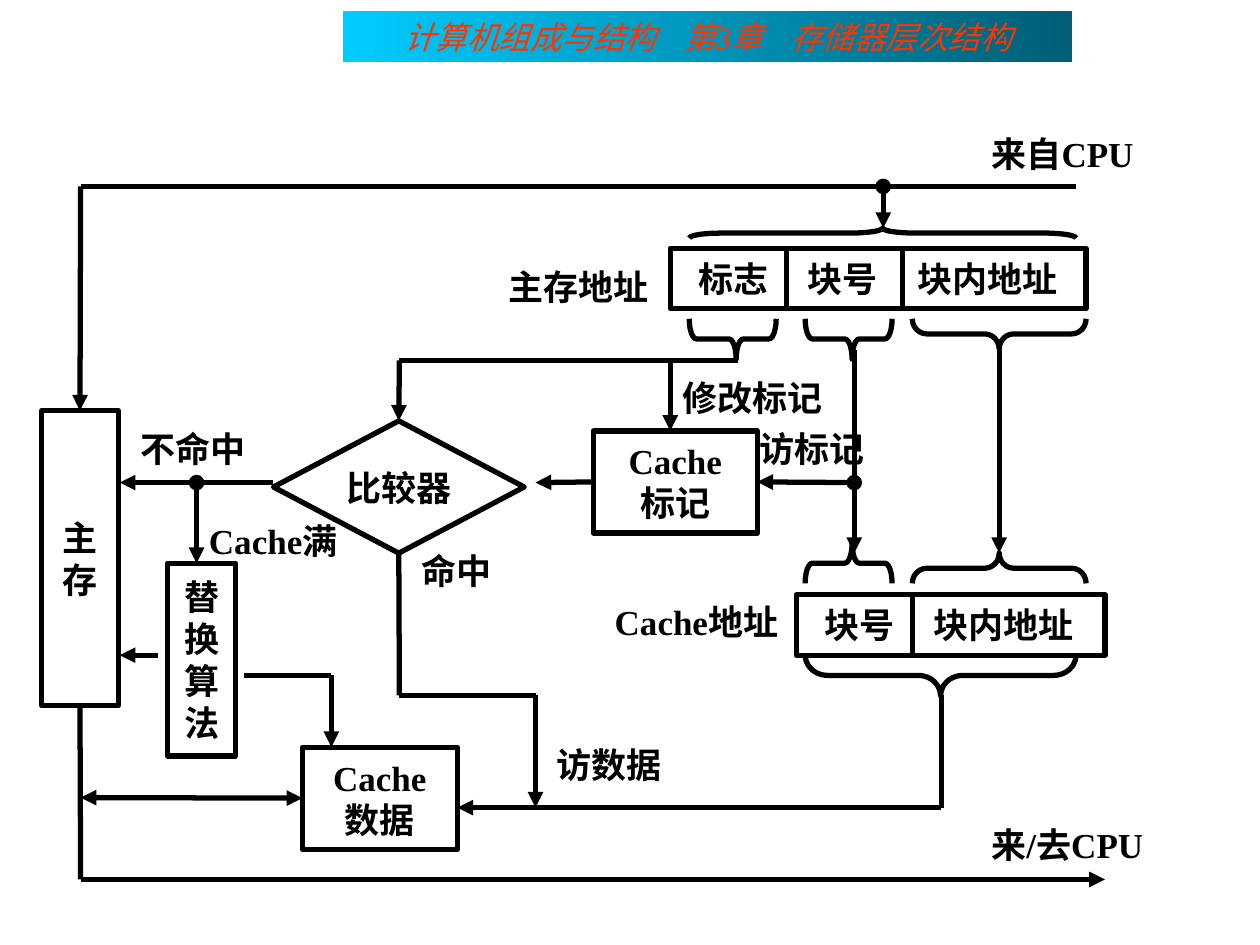
from lxml.etree import SubElement
from pptx import Presentation
from pptx.dml.color import RGBColor
from pptx.enum.shapes import MSO_CONNECTOR, MSO_SHAPE as SHAPE
from pptx.enum.text import MSO_ANCHOR as ANCHOR, PP_ALIGN as ALIGN
from pptx.oxml.ns import qn
from pptx.util import Inches, Pt

COLORS = {"ink": "000000", "title": "FF3300", "cyan": "00CCFF", "teal": "005E75"}
LABEL = {"name": "Times New Roman", "size": Pt(20), "bold": True}
TITLE = {"name": "Times New Roman", "size": Pt(18), "bold": False, "italic": True}
TOP, LEFT, BOTTOM, RIGHT = range(4)


def write(sp, text, align, fmt=LABEL, color="ink", tabs=()):
    """Fill a shape with text, one paragraph a line, with tab stops in inches."""
    tf = sp.text_frame
    tf.text = text
    for p in tf.paragraphs:
        p.alignment = align
        if tabs:
            stops = SubElement(p._p.get_or_add_pPr(), qn("a:tabLst"))
            for pos in tabs:
                SubElement(stops, qn("a:tab"), pos=str(Inches(pos)), algn="l")
        for r in p.runs:
            for key, value in fmt.items():
                setattr(r.font, key, value)
            r.font.color.rgb = RGBColor.from_string(COLORS[color])
    return tf


def outline(sp):
    sp.line.color.rgb = RGBColor.from_string(COLORS["ink"])
    sp.line.width = Pt(3)


prs = Presentation()
prs.slide_width, prs.slide_height = Inches(10), Inches(7.5)
s = prs.slides.add_slide(prs.slide_layouts[6])

# Title band
band = s.shapes.add_shape(SHAPE.RECTANGLE, *map(Inches, (2.72, 0.09, 5.79, 0.4)))
band.shadow.inherit = False
band.line.fill.background()
band.fill.gradient()
band.fill.gradient_angle = 0
for stop, name in zip(band.fill.gradient_stops, ("cyan", "teal")):
    stop.color.rgb = RGBColor.from_string(COLORS[name])
tf = write(band, "计算机组成与结构\t第3章\t存储器层次结构", ALIGN.LEFT, TITLE, "title", (2.22, 3.07))
tf.margin_left, tf.margin_right = Inches(0.49), 0
tf.vertical_anchor = ANCHOR.TOP

# Boxes: name, shape, place, text
boxes = {}
for name, kind, place, text in [
    ("memory", SHAPE.RECTANGLE, (0.33, 3.26, 0.61, 2.34), "主\n存"),
    ("tags", SHAPE.RECTANGLE, (4.71, 3.42, 1.3, 0.81), "Cache\n标记"),
    ("comparator", SHAPE.DIAMOND, (2.17, 3.34, 1.99, 1.05), "比较器"),
    ("replacement", SHAPE.RECTANGLE, (1.33, 4.47, 0.54, 1.53), "替\n换\n算\n法"),
    ("data", SHAPE.RECTANGLE, (2.4, 5.93, 1.23, 0.81), "Cache\n数据"),
]:
    sp = boxes[name] = s.shapes.add_shape(kind, *map(Inches, place))
    sp.shadow.inherit = False
    sp.fill.background()
    outline(sp)
    tf = write(sp, text, ALIGN.CENTER)
    tf.word_wrap = False
    tf.vertical_anchor = ANCHOR.MIDDLE

# Address words, their fields set on tab stops
for place, text, tabs in [
    ((5.32, 1.97, 3.3, 0.48), "标志\t块号\t块内地址", (0.87, 1.74)),
    ((6.32, 4.72, 2.45, 0.48), "块号\t块内地址", (0.87,)),
]:
    sp = s.shapes.add_shape(SHAPE.RECTANGLE, *map(Inches, place))
    sp.shadow.inherit = False
    sp.fill.background()
    outline(sp)
    tf = write(sp, text, ALIGN.LEFT, tabs=tabs)
    tf.margin_left, tf.margin_right = Inches(0.22), 0
    tf.vertical_anchor = ANCHOR.MIDDLE

# Braces: left, top, span, depth, tip as a share of the span, rotation
for x, y, span, depth, tip, turn in [
    (5.47, 1.81, 3.07, 0.08, 0.5, 90),
    (5.47, 2.53, 0.69, 0.32, 0.54, 270),
    (6.39, 2.53, 0.69, 0.32, 0.54, 270),
    (7.24, 2.53, 1.38, 0.24, 0.5, 270),
    (6.39, 4.31, 0.69, 0.32, 0.46, 90),
    (7.24, 4.39, 1.38, 0.24, 0.5, 90),
    (6.39, 5.2, 2.15, 0.32, 0.5, 270),
]:
    shift = (span - depth) / 2
    sp = s.shapes.add_shape(SHAPE.LEFT_BRACE, *map(Inches, (x + shift, y - shift, depth, span)))
    sp.rotation = turn
    sp.adjustments[0] = span / depth / 12
    sp.adjustments[1] = tip
    sp.shadow.inherit = False
    sp.fill.background()
    outline(sp)

# Lines: from, to, head, tail, joined box and side at the start and at the end
ARROW, DOT = "triangle", "oval"
for x1, y1, x2, y2, head, tail, start, end in [
    (0.64, 1.48, 8.54, 1.48, None, None, None, None),
    (7.01, 1.48, 7.01, 1.81, DOT, ARROW, None, None),
    (6.24, 1.97, 6.24, 2.45, None, None, None, None),
    (7.16, 1.97, 7.16, 2.45, None, None, None, None),
    (7.24, 4.72, 7.24, 5.2, None, None, None, None),
    (0.64, 1.48, 0.64, 3.26, None, ARROW, None, ("memory", TOP)),
    (6.78, 2.78, 6.78, 4.39, None, ARROW, None, None),
    (7.93, 2.78, 7.93, 4.39, None, ARROW, None, None),
    (6.78, 3.83, 6.01, 3.83, DOT, ARROW, None, ("tags", RIGHT)),
    (4.71, 3.83, 4.25, 3.83, None, ARROW, ("tags", LEFT), None),
    (2.17, 3.83, 0.95, 3.83, None, ARROW, None, None),
    (1.56, 3.83, 1.56, 4.47, DOT, ARROW, None, None),
    (1.25, 5.2, 0.95, 5.2, None, ARROW, None, None),
    (0.64, 5.6, 0.64, 6.98, None, None, ("memory", BOTTOM), None),
    (0.64, 6.98, 8.77, 6.98, None, ARROW, None, None),
    (2.4, 6.33, 0.64, 6.33, ARROW, ARROW, ("data", LEFT), None),
    (1.94, 5.36, 2.63, 5.36, None, None, None, None),
    (2.63, 5.36, 2.63, 5.93, None, ARROW, None, None),
    (7.47, 5.52, 7.47, 6.41, None, None, None, None),
    (7.47, 6.41, 3.63, 6.41, None, ARROW, None, None),
    (3.17, 4.39, 3.17, 5.52, None, None, ("comparator", BOTTOM), None),
    (3.17, 5.52, 4.25, 5.52, None, None, None, None),
    (4.25, 5.52, 4.25, 6.41, None, ARROW, None, None),
    (5.86, 2.86, 3.17, 2.86, None, None, None, None),
    (3.17, 2.86, 3.17, 3.34, None, ARROW, None, ("comparator", TOP)),
    (5.32, 2.86, 5.32, 3.42, None, ARROW, None, None),
]:
    line = s.shapes.add_connector(MSO_CONNECTOR.STRAIGHT, *map(Inches, (x1, y1, x2, y2)))
    outline(line)
    if start:
        line.begin_connect(boxes[start[0]], start[1])
    if end:
        line.end_connect(boxes[end[0]], end[1])
    ln = line.line._get_or_add_ln()
    for tag, kind in (("a:headEnd", head), ("a:tailEnd", tail)):
        if kind:
            SubElement(ln, qn(tag), type=kind)
    SubElement(line._element.spPr, qn("a:effectLst"))

# Labels
for place, text in [
    ((3.94, 2.06, 1.31, 0.44), "主存地址"),
    ((4.78, 4.72, 1.92, 0.44), "Cache地址"),
    ((7.77, 6.49, 2.23, 0.44), "来/去CPU"),
    ((7.77, 1, 1.46, 0.44), "来自CPU"),
    ((1.02, 3.34, 1.23, 0.44), "不命中"),
    ((3.25, 4.31, 0.84, 0.44), "命中"),
    ((1.56, 4.07, 1.38, 0.94), "Cache满"),
    ((4.32, 5.85, 1.69, 0.44), "访数据"),
    ((5.32, 2.94, 1.69, 0.44), "修改标记"),
    ((5.93, 3.34, 1.23, 0.44), "访标记"),
]:
    sp = s.shapes.add_textbox(*map(Inches, place))
    write(sp, text, ALIGN.LEFT).word_wrap = True

prs.save("out.pptx")
